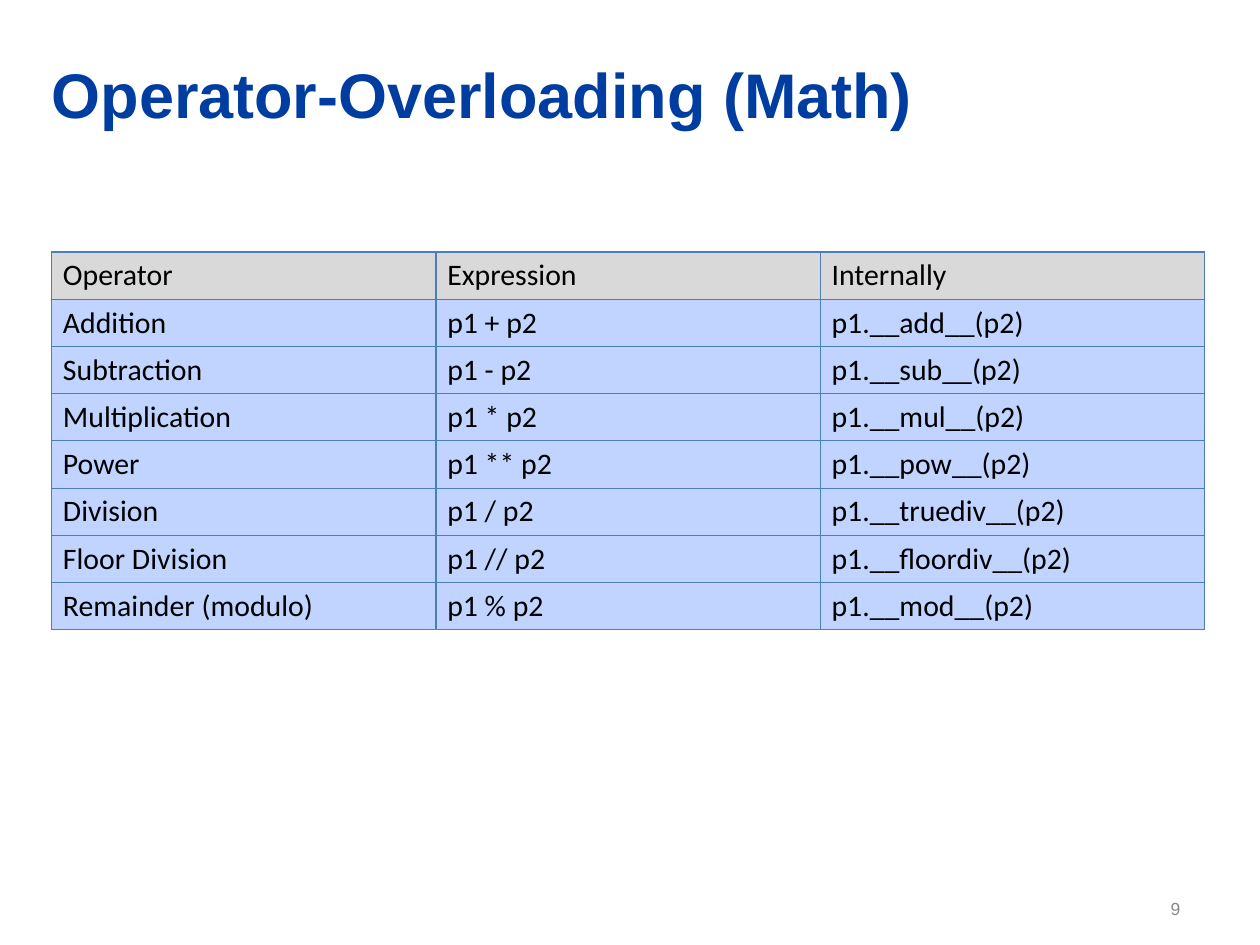
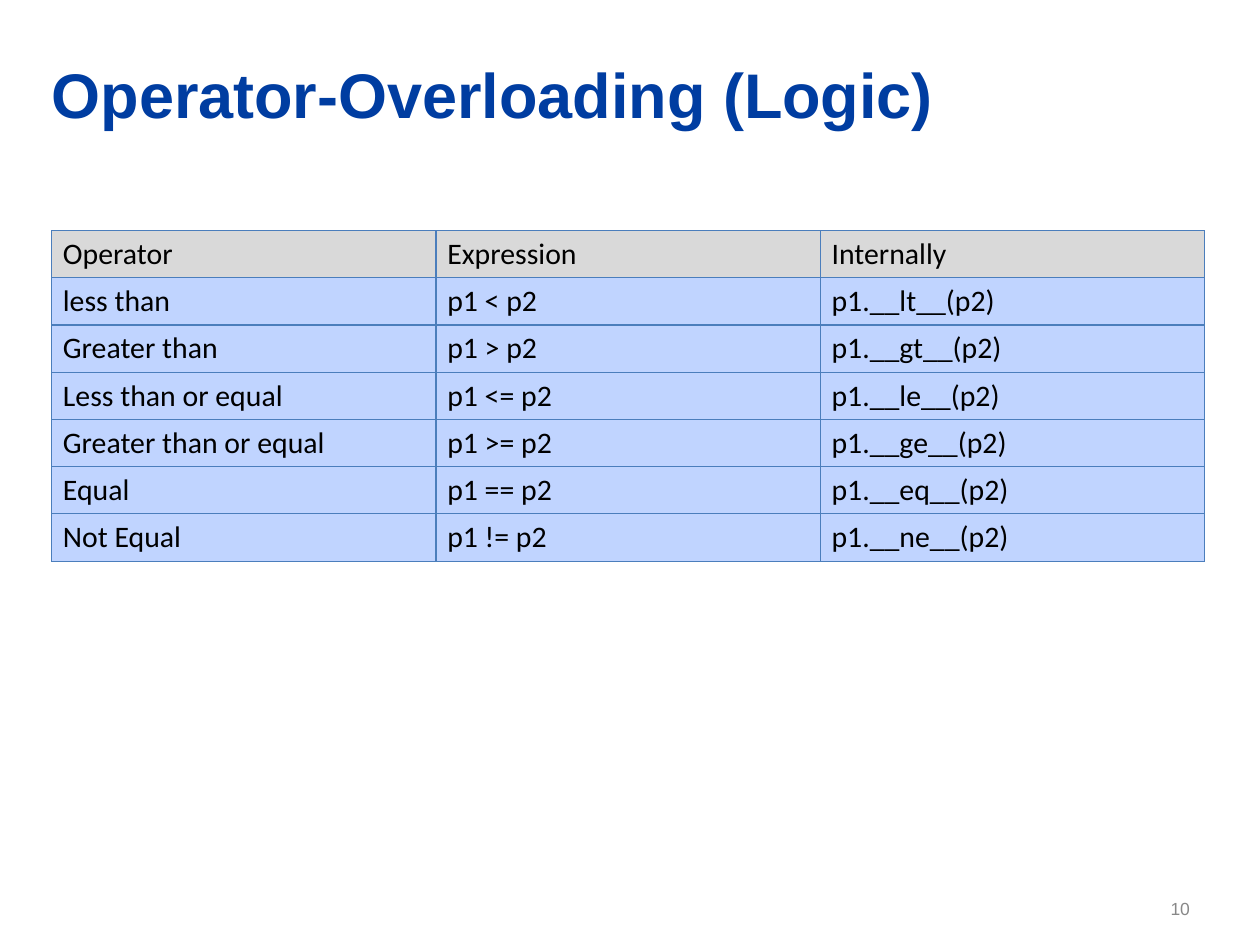
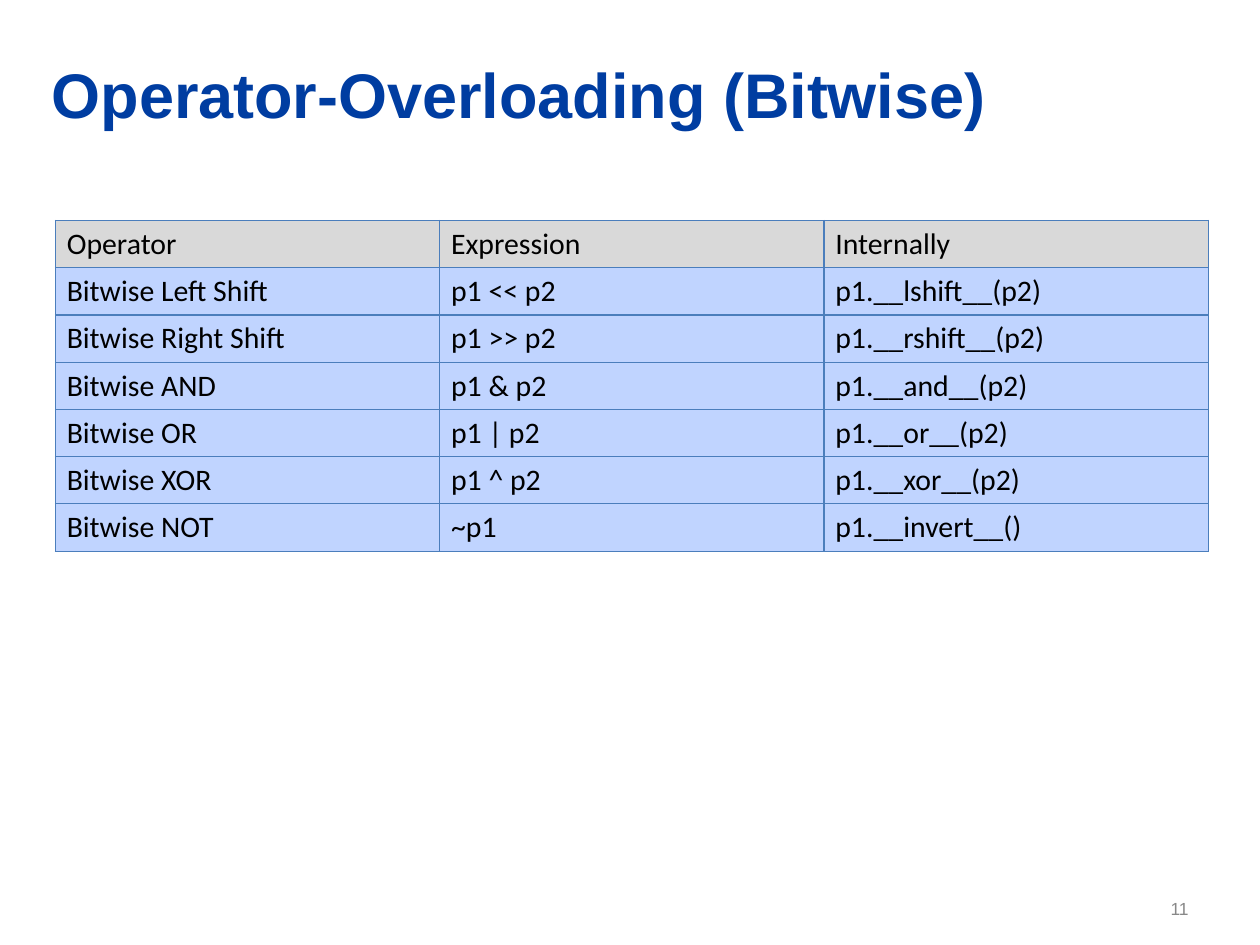
import pptx
import pptx.dml.color
import pptx.enum.text
import pptx.oxml
import pptx.oxml.ns
import pptx.util
from pptx.util import Inches

COLORS = {"title": "003DA1", "number": "888888", "text": "000000",
          "header": "D9D9D9", "body": "C0D4FF", "border": "4B7EBC"}
FONTS = {
    "title": {"name": "Arial", "size": pptx.util.Pt(36), "bold": True},
    "number": {"name": "Arial", "size": pptx.util.Pt(10)},
    "text": {"name": "Calibri", "size": pptx.util.Pt(17)},
}
TITLE_BOX = (0.41, 0.43, 8.83, 0.62)
NUMBER_BOX = (9.25, 7.12, 0.32, 0.18)
TABLE_WIDTH = 9.15
ROW_HEIGHT = 3 / 8
HEADER = ("Operator", "Expression", "Internally")
FIRST_NUMBER = 9

SLIDES = [
    ("Operator-Overloading (Math)", (0.41, 2), [
        ("Addition", "p1 + p2", "p1.__add__(p2)"),
        ("Subtraction", "p1 - p2", "p1.__sub__(p2)"),
        ("Multiplication", "p1 * p2", "p1.__mul__(p2)"),
        ("Power", "p1 ** p2", "p1.__pow__(p2)"),
        ("Division", "p1 / p2", "p1.__truediv__(p2)"),
        ("Floor Division", "p1 // p2", "p1.__floordiv__(p2)"),
        ("Remainder (modulo)", "p1 % p2", "p1.__mod__(p2)"),
    ]),
    ("Operator-Overloading (Logic)", (0.41, 1.83), [
        ("less than", "p1 < p2", "p1.__lt__(p2)"),
        ("Greater than", "p1 > p2", "p1.__gt__(p2)"),
        ("Less than or equal", "p1 <= p2", "p1.__le__(p2)"),
        ("Greater than or equal", "p1 >= p2", "p1.__ge__(p2)"),
        ("Equal", "p1 == p2", "p1.__eq__(p2)"),
        ("Not Equal", "p1 != p2", "p1.__ne__(p2)"),
    ]),
    ("Operator-Overloading (Bitwise)", (0.44, 1.75), [
        ("Bitwise Left Shift", "p1 << p2", "p1.__lshift__(p2)"),
        ("Bitwise Right Shift", "p1 >> p2", "p1.__rshift__(p2)"),
        ("Bitwise AND", "p1 & p2", "p1.__and__(p2)"),
        ("Bitwise OR", "p1 | p2", "p1.__or__(p2)"),
        ("Bitwise XOR", "p1 ^ p2", "p1.__xor__(p2)"),
        ("Bitwise NOT", "~p1", "p1.__invert__()"),
    ]),
]


def set_attrs(obj, values):
    """Set each attribute in values on obj."""
    for name, value in values.items():
        setattr(obj, name, value)


def rgb(key):
    """Return the named colour."""
    return pptx.dml.color.RGBColor.from_string(COLORS[key])


def write(tf, text, style):
    """Write one left-aligned line in a named style."""
    p = tf.paragraphs[0]
    p.alignment = pptx.enum.text.PP_ALIGN.LEFT
    r = p.add_run()
    r.text = text
    set_attrs(r.font, FONTS[style])
    r.font.color.rgb = rgb(style)


def fill_text_box(sp, box, text, style, left=0):
    """Place a shape in its box and write its text from the top left."""
    set_attrs(sp, dict(zip(("left", "top", "width", "height"), map(Inches, box))))
    set_attrs(sp.text_frame, {
        "margin_left": Inches(left), "margin_top": Inches(0.01),
        "margin_right": 0, "margin_bottom": 0, "word_wrap": True,
        "auto_size": pptx.enum.text.MSO_AUTO_SIZE.NONE,
        "vertical_anchor": pptx.enum.text.MSO_ANCHOR.TOP})
    write(sp.text_frame, text, style)


def add_borders(cell):
    """Draw a thin line on all four sides of a cell."""
    tcPr = cell._tc.get_or_add_tcPr()
    for side in "LRTB":
        tcPr.append(pptx.oxml.parse_xml(
            f'<a:ln{side} {pptx.oxml.ns.nsdecls("a")} w="{pptx.util.Pt(0.75)}">'
            f'<a:solidFill><a:srgbClr val="{COLORS["border"]}"/></a:solidFill>'
            f'</a:ln{side}>'))


def format_cell(cell, text, fill):
    """Write, border and fill one table cell."""
    set_attrs(cell, {
        "margin_left": Inches(0.09), "margin_right": Inches(0.09),
        "margin_top": Inches(0.04), "margin_bottom": Inches(0.04),
        "vertical_anchor": pptx.enum.text.MSO_ANCHOR.MIDDLE})
    write(cell.text_frame, text, "text")
    add_borders(cell)
    cell.fill.solid()
    cell.fill.fore_color.rgb = rgb(fill)


def add_operator_table(s, corner, operators):
    """Add the operator table with its top left at corner."""
    rows = [HEADER, *operators]
    left, top = map(Inches, corner)
    table = s.shapes.add_table(len(rows), len(HEADER), left, top, Inches(TABLE_WIDTH),
                               Inches(ROW_HEIGHT * len(rows))).table
    set_attrs(table, {"first_row": False, "horz_banding": False})
    for i, row in enumerate(rows):
        for j, text in enumerate(row):
            format_cell(table.cell(i, j), text, "body" if i else "header")


def add_operator_slide(prs, number, title, corner, operators):
    """Add a slide with a title, a page number and an operator table."""
    s = prs.slides.add_slide(prs.slide_layouts.get_by_name("Title Only"))
    fill_text_box(s.shapes.title, TITLE_BOX, title, "title")
    sp = s.shapes.add_textbox(*map(Inches, NUMBER_BOX))
    fill_text_box(sp, NUMBER_BOX, str(number), "number", left=0.04)
    add_operator_table(s, corner, operators)


def main():
    """Build and save the presentation."""
    prs = pptx.Presentation()
    set_attrs(prs, {"slide_width": Inches(10), "slide_height": Inches(7.5)})
    for number, content in enumerate(SLIDES, FIRST_NUMBER):
        add_operator_slide(prs, number, *content)
    prs.save("out.pptx")


if __name__ == "__main__":
    main()
